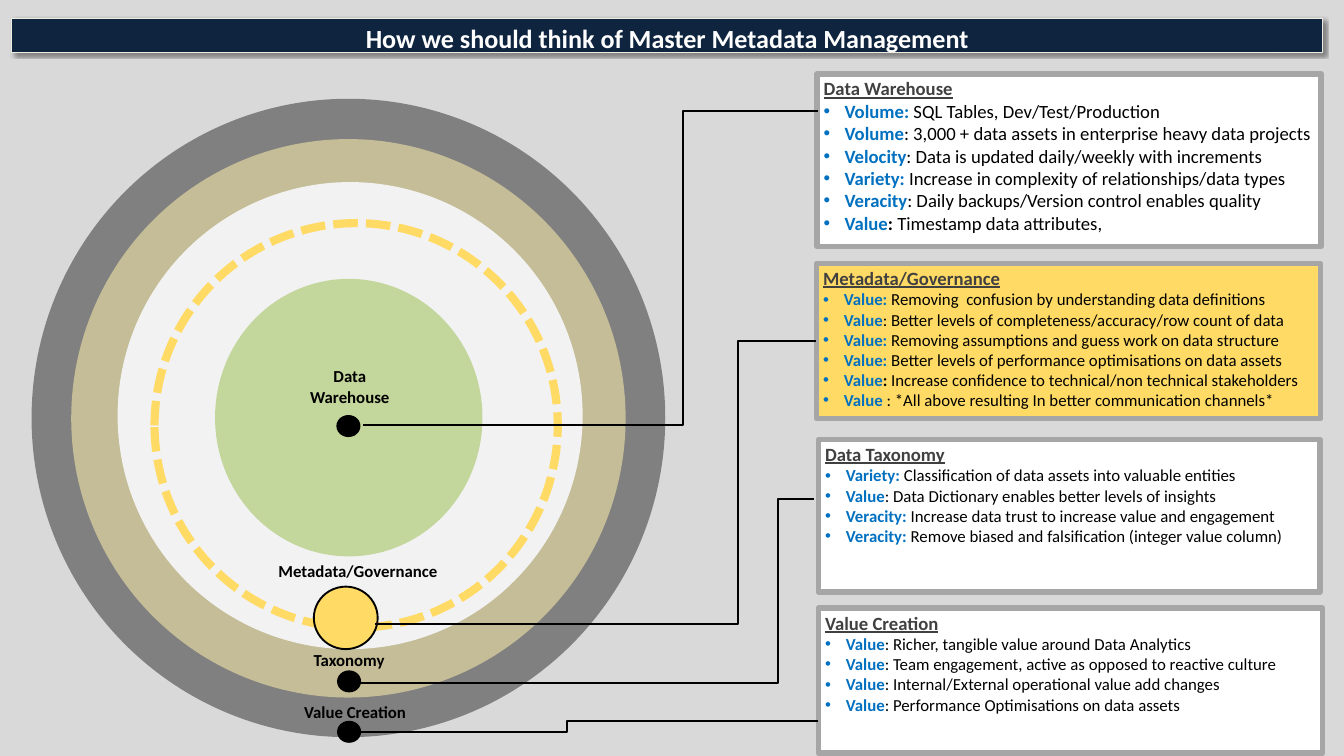
from dataclasses import dataclass

from lxml.etree import SubElement
from pptx import Presentation
from pptx.dml.color import RGBColor
from pptx.enum.dml import MSO_LINE
from pptx.enum.shapes import MSO_CONNECTOR, MSO_SHAPE
from pptx.enum.text import MSO_ANCHOR, MSO_AUTO_SIZE, PP_ALIGN
from pptx.oxml.ns import qn
from pptx.util import Emu, Pt

SCALE = 9144
FONT = "Calibri"
NAVY = RGBColor(0x0F, 0x24, 0x3E)
CREAM = RGBColor(0xEE, 0xEC, 0xE1)
BACK = RGBColor(0xD9, 0xD9, 0xD9)
GREY = RGBColor(0x80, 0x80, 0x80)
TAN = RGBColor(0xC4, 0xBD, 0x97)
PALE = RGBColor(0xF2, 0xF2, 0xF2)
GREEN = RGBColor(0xC3, 0xD6, 0x9B)
GOLD = RGBColor(0xFF, 0xDA, 0x65)
EDGE = RGBColor(0xA6, 0xA6, 0xA6)
HEAD = RGBColor(0x40, 0x40, 0x40)
BLUE = RGBColor(0x00, 0x70, 0xC0)
BLACK = RGBColor(0, 0, 0)
WHITE = RGBColor(0xFF, 0xFF, 0xFF)


@dataclass
class Disc:
    at: tuple[int, int, int, int]
    fill: RGBColor | None
    line: RGBColor | None = None
    width: float = 2
    dash: bool = False


@dataclass
class Point:
    key: str
    text: str
    mark: str = ""


@dataclass
class Panel:
    at: tuple[int, int, int, int]
    head: str
    points: list[Point]
    fill: RGBColor = WHITE
    size: int = 18


@dataclass
class Link:
    start: tuple[int, int]
    turn: int
    end: tuple[int, int]
    goal: int | None = None


@dataclass
class Label:
    at: tuple[int, int, int, int]
    text: str


RINGS = [
    Disc((47, 147, 943, 950), GREY),
    Disc((106, 207, 825, 831), TAN),
    Disc((175, 271, 692, 695), PALE),
    Disc((320, 415, 398, 413), GREEN),
]
DISCS = [
    Disc((230, 332, 600, 602), None, GOLD, 8.75, True),
    Disc((467, 873, 95, 93), GOLD, BLACK),
    *[Disc((x, y, 33, 30), BLACK, BLACK) for x, y in ((502, 619), (503, 999), (503, 1074))],
]
PANELS = [
    Panel((1216, 110, 750, 257), "Data Warehouse", [
        Point("Volume: ", "SQL Tables, Dev/Test/Production"),
        Point("Volume", ": 3,000 + data assets in enterprise heavy data projects"),
        Point("Velocity", ": Data is updated daily/weekly with increments"),
        Point("Variety: ", "Increase in complexity of relationships/data types"),
        Point("Veracity", ": Daily backups/Version control enables quality"),
        Point("Value", "Timestamp data attributes,", ": "),
    ], size=20),
    Panel((1215, 392, 750, 231), "Metadata/Governance", [
        Point("Value: ", "Removing  confusion by understanding data definitions"),
        Point("Value", ": Better levels of completeness/accuracy/row count of data"),
        Point("Value: ", "Removing assumptions and guess work on data structure"),
        Point("Value: ", "Better levels of performance optimisations on data assets"),
        Point("Value", "Increase confidence to technical/non technical stakeholders", ": "),
        Point("Value", " : *All above resulting In better communication channels*"),
    ], GOLD),
    Panel((1218, 654, 746, 227), "Data Taxonomy", [
        Point("Variety: ", "Classification of data assets into valuable entities"),
        Point("Value", ": Data Dictionary enables better levels of insights"),
        Point("Veracity: ", "Increase data trust to increase value and engagement"),
        Point("Veracity: ", "Remove biased and falsification (integer value column)"),
    ]),
    Panel((1218, 905, 750, 216), "Value Creation", [
        Point("Value", ": Richer, tangible value around Data Analytics"),
        Point("Value", ": Team engagement, active as opposed to reactive culture"),
        Point("Value", ": Internal/External operational value add changes"),
        Point("Value", ": Performance Optimisations on data assets"),
    ]),
]
LINKS = [
    Link((540, 633), 1016, (1217, 165)),
    Link((558, 929), 1098, (1215, 507), 1),
    Link((537, 1017), 1158, (1211, 743)),
    Link((535, 1089), 843, (1217, 1073)),
]
LABELS = [
    Label((443, 540, 155, 71), "Data Warehouse"),
    Label((392, 829, 287, 40), "Metadata/Governance "),
    Label((442, 962, 155, 40), "Taxonomy"),
    Label((407, 1039, 243, 40), "Value Creation"),
]


def px(*nums: int) -> list[Emu]:
    return [Emu(n * SCALE) for n in nums]


def write(para, text: str, size: int, color: RGBColor, bold: bool = True) -> None:
    run = para.add_run()
    run.text = text
    font = run.font
    font.name, font.size, font.bold = FONT, Pt(size), bold
    font.color.rgb = color


def paint(shape, fill: RGBColor | None, line: RGBColor | None, width: float) -> None:
    shape.shadow.inherit = False
    if fill is None:
        shape.fill.background()
    else:
        shape.fill.solid()
        shape.fill.fore_color.rgb = fill
    if line is None:
        shape.line.fill.background()
    else:
        shape.line.color.rgb = line
        shape.line.width = Pt(width)


def draw_disc(shapes, disc: Disc) -> None:
    shape = shapes.add_shape(MSO_SHAPE.OVAL, *px(*disc.at))
    paint(shape, disc.fill, disc.line, disc.width)
    if disc.dash:
        shape.line.dash_style = MSO_LINE.SQUARE_DOT


def draw_panel(shapes, panel: Panel):
    shape = shapes.add_shape(MSO_SHAPE.RECTANGLE, *px(*panel.at))
    paint(shape, panel.fill, EDGE, 6)
    frame = shape.text_frame
    frame.word_wrap = True
    frame.vertical_anchor = MSO_ANCHOR.TOP
    para = frame.paragraphs[0]
    para.alignment = PP_ALIGN.LEFT
    write(para, panel.head, 20, HEAD)
    para.runs[0].font.underline = True
    for point in panel.points:
        para = frame.add_paragraph()
        para.alignment = PP_ALIGN.LEFT
        props = para._p.get_or_add_pPr()
        props.set("marL", str(31 * SCALE))
        props.set("indent", str(-31 * SCALE))
        SubElement(props, qn("a:buFont"), typeface="Arial")
        SubElement(props, qn("a:buChar"), char="•")
        write(para, point.key, panel.size, BLUE)
        if point.mark:
            write(para, point.mark, panel.size, BLACK)
        write(para, point.text, panel.size, BLACK, False)
    return shape


def draw_link(shapes, link: Link, boxes: list) -> None:
    line = shapes.add_connector(MSO_CONNECTOR.ELBOW, *px(*link.start, *link.end))
    if link.goal is not None:
        line.end_connect(boxes[link.goal], 1)
    line.line.color.rgb = BLACK
    line.line.width = Pt(2.25)
    props = line._element.spPr
    SubElement(props, qn("a:effectLst"))
    ratio = (link.turn - link.start[0]) / (link.end[0] - link.start[0])
    guides = props.find(qn("a:prstGeom")).get_or_add_avLst()
    SubElement(guides, qn("a:gd"), name="adj1", fmla=f"val {round(ratio * 100000)}")


def draw_label(shapes, label: Label) -> None:
    frame = shapes.add_textbox(*px(*label.at)).text_frame
    frame.word_wrap = True
    frame.auto_size = MSO_AUTO_SIZE.SHAPE_TO_FIT_TEXT
    para = frame.paragraphs[0]
    para.alignment = PP_ALIGN.CENTER
    write(para, label.text, 18, BLACK)


def draw_title(title) -> None:
    title.left, title.top, title.width, title.height = px(17, 28, 1951, 50)
    paint(title, NAVY, CREAM, 1)
    cast = SubElement(title._element.spPr.find(qn("a:effectLst")), qn("a:outerShdw"),
                      blurRad=str(Pt(4)), dist=str(Pt(3)), dir="2700000", algn="tl")
    tone = SubElement(cast, qn("a:srgbClr"), val=str(BLACK))
    SubElement(tone, qn("a:alpha"), val="40000")
    frame = title.text_frame
    frame.auto_size = MSO_AUTO_SIZE.NONE
    frame.vertical_anchor = MSO_ANCHOR.TOP
    para = frame.paragraphs[0]
    para.alignment = PP_ALIGN.CENTER
    write(para, "How we should think of Master Metadata Management", 28, WHITE)


def main() -> None:
    deck = Presentation()
    deck.slide_width, deck.slide_height = px(2000, 1125)
    slide = deck.slides.add_slide(deck.slide_layouts[5])
    slide.background.fill.solid()
    slide.background.fill.fore_color.rgb = BACK
    shapes = slide.shapes
    draw_title(shapes.title)
    group = shapes.add_group_shape()
    for ring in RINGS:
        draw_disc(group.shapes, ring)
    for disc in DISCS:
        draw_disc(shapes, disc)
    boxes = [draw_panel(shapes, panel) for panel in PANELS]
    for link in LINKS:
        draw_link(shapes, link, boxes)
    for label in LABELS:
        draw_label(shapes, label)
    deck.save("out.pptx")


if __name__ == "__main__":
    main()
